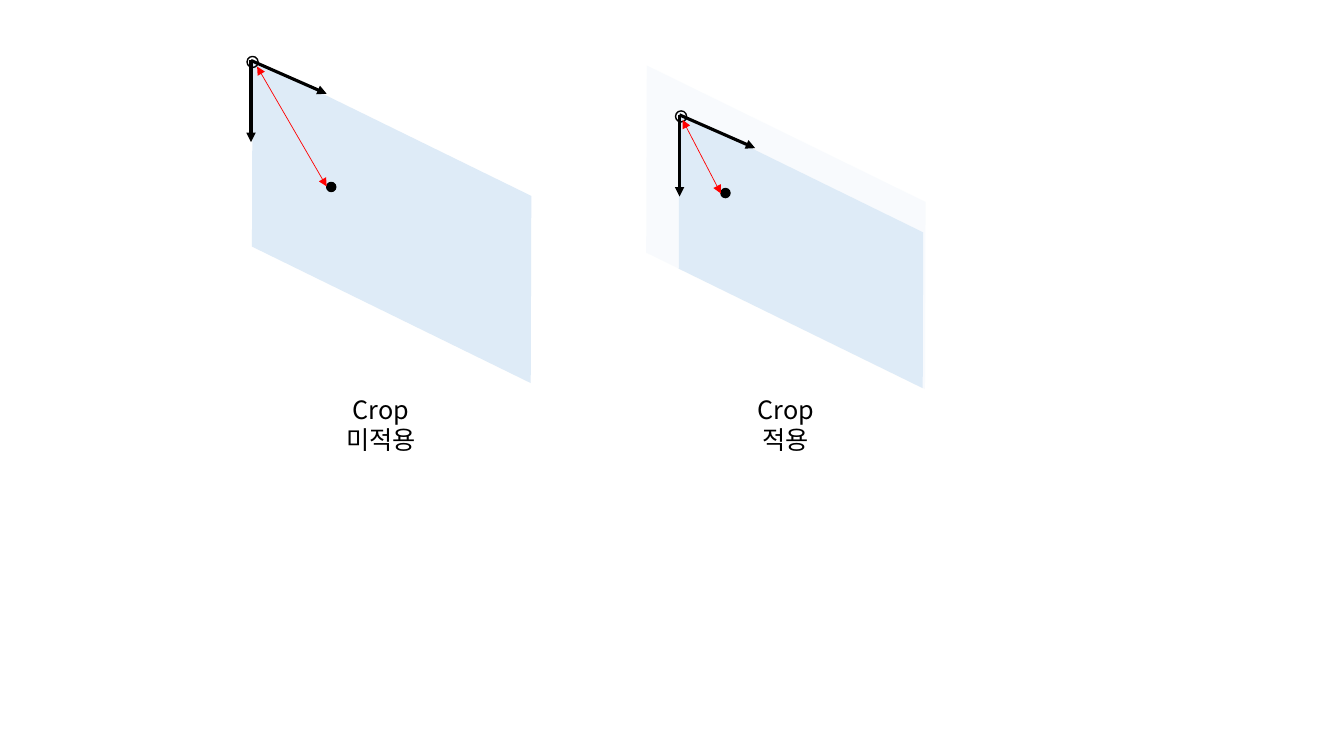
from lxml import etree
from pptx import Presentation
from pptx.dml.color import RGBColor
from pptx.enum.shapes import MSO_CONNECTOR, MSO_SHAPE
from pptx.enum.text import PP_ALIGN
from pptx.oxml.ns import qn
from pptx.util import Inches, Pt

STRAIGHT = MSO_CONNECTOR.STRAIGHT
PARALLELOGRAM = MSO_SHAPE.PARALLELOGRAM
OVAL = MSO_SHAPE.OVAL
CENTER = PP_ALIGN.CENTER


def color(hex_code):
    return RGBColor.from_string(hex_code)


def write(box, text, *, font, size, ink, spacing):
    """Put centred text in a box; a vertical tab in it becomes a line break."""
    box.text_frame.word_wrap = False
    para = box.text_frame.paragraphs[0]
    para.text = text
    para.alignment = CENTER
    para.line_spacing = Pt(spacing)
    for span in para.runs:
        span.font.name = font
        span.font.size = Pt(size)
        span.font.color.rgb = color(ink)
        properties = span.font._element
        etree.SubElement(properties, qn("a:ea"), typeface=font)


class CropDiagram:
    FONT = "Noto Sans CJK KR"
    INK = "000000"
    PLANE = "DEEBF7"
    DISTANCE = "FF0000"
    TILT = 26.1
    SLANT = 0.486

    def __init__(self, page):
        self.page = page

    def shape(self, kind, left, top, width, height, fill=None, outline=None):
        shape = self.page.shapes.add_shape(
            kind, Inches(left), Inches(top), Inches(width), Inches(height))
        shape.shadow.inherit = False
        if fill:
            shape.fill.solid()
            shape.fill.fore_color.rgb = color(fill)
        else:
            shape.fill.background()
        if outline:
            shape.line.color.rgb = color(outline)
            shape.line.width = Pt(1)
        else:
            shape.line.fill.background()
        return shape

    def plane(self, left, top, width, height, opacity=None):
        """Draw a mirrored, tilted image plane; opacity is in percent."""
        plane = self.shape(PARALLELOGRAM, left, top, width, height, self.PLANE)
        plane.adjustments[0] = self.SLANT
        plane.rotation = self.TILT
        properties = plane._element.spPr
        properties.find(qn("a:xfrm")).set("flipH", "1")
        if opacity:
            fill = properties.find(qn("a:solidFill"))
            etree.SubElement(fill[0], qn("a:alpha"), val=str(opacity * 1000))

    def arrow(self, start, end, ink, width, both_ends=False):
        arrow = self.page.shapes.add_connector(
            STRAIGHT, *(Inches(value) for value in (*start, *end)))
        arrow.line.color.rgb = color(ink)
        arrow.line.width = Pt(width)
        line = arrow.line._ln
        if both_ends:
            etree.SubElement(line, qn("a:headEnd"), type="triangle")
        etree.SubElement(line, qn("a:tailEnd"), type="triangle")
        etree.SubElement(arrow._element.spPr, qn("a:effectLst"))

    def point(self, left, top):
        self.shape(OVAL, left, top, 0.09, 0.09, self.INK, self.INK)

    def origin(self, x, y):
        """Draw both image axes and the ring around their origin."""
        for across, down in ((0, 0.81), (0.75, 0.33)):
            self.arrow((x, y), (x + across, y + down), self.INK, 2.25)
        self.shape(OVAL, x - 0.04, y - 0.04, 0.11, 0.11, outline=self.INK)

    def distance(self, start, end):
        self.arrow(start, end, self.DISTANCE, 0.5, both_ends=True)

    def caption(self, text, left, width):
        box = self.page.shapes.add_textbox(
            Inches(left), Inches(3.86), Inches(width), Inches(0.4))
        write(box, text, font=self.FONT, size=18, ink=self.INK, spacing=21.5)


def main():
    deck = Presentation()
    deck.slide_width = Inches(13.33)
    deck.slide_height = Inches(7.5)
    diagram = CropDiagram(deck.slides.add_slide(deck.slide_layouts[6]))

    diagram.plane(1.94, 1.36, 3.89, 1.67)
    diagram.point(3.24, 1.81)
    diagram.origin(2.49, 0.6)

    diagram.plane(5.85, 1.42, 3.89, 1.67, opacity=21)
    diagram.plane(6.26, 1.79, 3.37, 1.39)
    diagram.point(7.15, 1.87)
    diagram.origin(6.74, 1.14)

    diagram.distance((2.55, 0.66), (3.24, 1.85))
    diagram.distance((6.77, 1.19), (7.15, 1.92))

    diagram.caption("Crop\v미적용", 3.04, 1.48)
    diagram.caption("Crop\v적용", 7.17, 1.25)
    deck.save("out.pptx")


if __name__ == "__main__":
    main()
